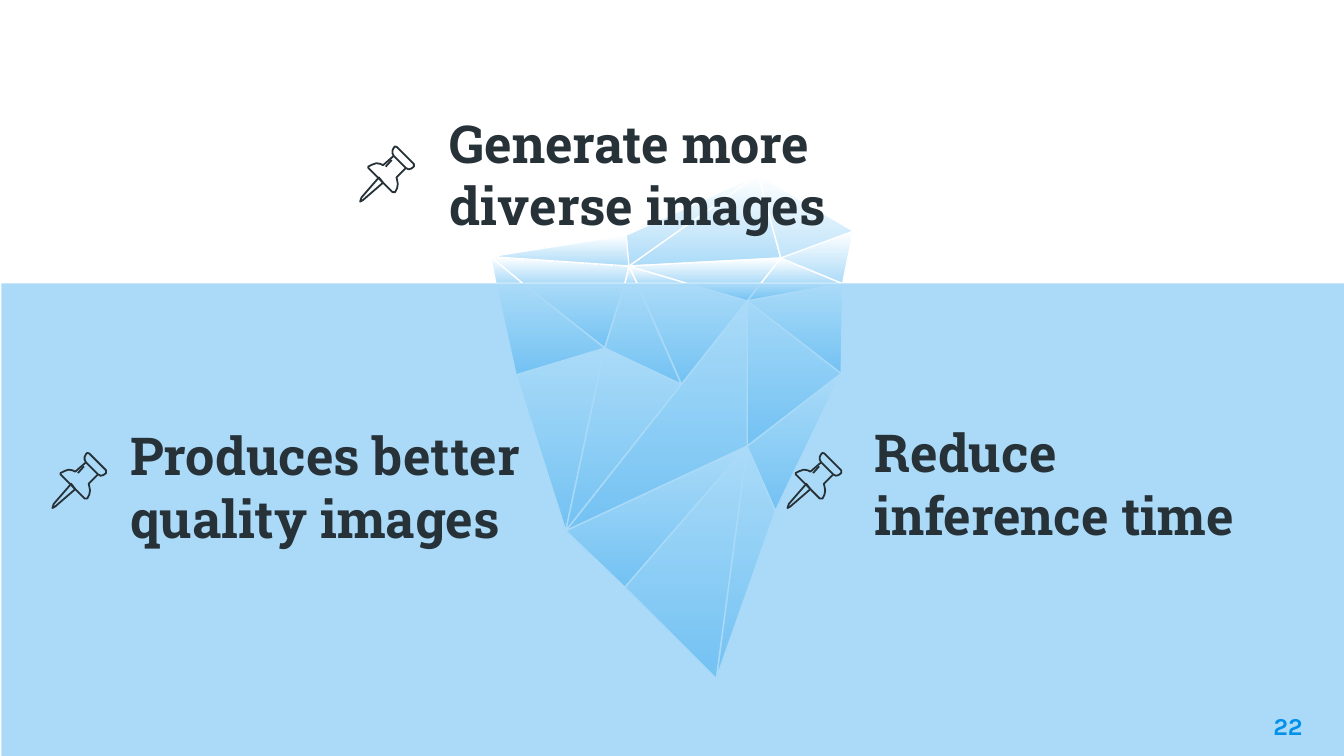
from dataclasses import dataclass, field

from lxml import etree
from pptx import Presentation
from pptx import util as u
from pptx.dml.color import RGBColor
from pptx.enum import shapes, text
from pptx.oxml import ns

COLUMNS, ROWS = 100, 56.25
COLORS = {"white": "FFFFFF", "ice": "ACDBF8", "water": "0091EA", "ink": "263238"}

VERTICES = {
    "A": (36.5, 19.1), "B": (38.9, 21.1), "C": (36.9, 21.1), "D": (46.6, 17.5),
    "E": (46.8, 19.8), "F": (46.5, 21.1), "G": (47.4, 21.1), "H": (51.2, 21.1),
    "I": (56.4, 13), "J": (58.1, 19.2), "K": (56.6, 21.1), "L": (62.7, 21.1),
    "M": (63.5, 17.2), "N": (45, 25.9), "O": (38.4, 27.9), "P": (42.1, 39.5),
    "Q": (50.7, 28.6), "R": (55.6, 22.4), "S": (62.6, 27.8), "T": (55.6, 33.2),
    "U": (57.7, 38), "V": (53.3, 50.5), "W": (46.5, 43.7),
}
FACETS = (
    "LAB IEJ IMLJ ABC EFBA IEAD JLK GEH ABC DEA MJL GEF LSTR NPO FNB TUV LRK "
    "QGHR QNP RPT BNOC LRS NQGF PTW WVT SUT EJKH RKH"
).split()

PIN_NEEDLE = [(1.4, 2.3), (0.1, 3.8), (0, 4.1), (0.2, 4), (1.7, 2.7)]
PIN_HEAD = [
    (2.5, 0.7), (3.4, 1.6), (3.6, 1.7), (3.8, 1.65), (4, 1.5), (4, 1.3),
    (2.75, 0.05), (2.6, 0), (2.5, 0.1), (2.4, 0.3), (2.4, 0.5),
]
PIN_BODY = [
    (2.5, 0.7), (1.7, 1.4), (1.5, 1.3), (1.2, 1.25), (0.9, 1.35), (0.6, 1.5),
    (0.6, 1.6), (2.4, 3.4), (2.6, 3.4), (2.75, 3.1), (2.8, 2.8), (2.75, 2.5),
    (2.7, 2.3), (3.4, 1.6),
]
PIN_SLIT = [(1.9, 1.5), (2.35, 1)]
PIN_PARTS = [(PIN_NEEDLE, True), (PIN_HEAD, True), (PIN_BODY, False), (PIN_SLIT, False)]
PIN_PLACES = [(26.8, 10.9), (3.9, 33.7), (58.6, 33.7)]


def color(name):
    return RGBColor.from_string(COLORS[name])


def write(frame, words, *, font="Roboto Slab", size=28, ink="ink",
          align=text.PP_ALIGN.LEFT):
    paragraph = frame.paragraphs[0]
    paragraph.alignment = align
    paragraph.line_spacing = 1.0
    run = paragraph.add_run()
    run.text = words
    run.font.name = font
    run.font.size = u.Pt(size)
    run.font.bold = True
    run.font.color.rgb = color(ink)


@dataclass
class Canvas:
    presentation: object
    slide: object = field(init=False)

    def __post_init__(self):
        self.slide = self.presentation.slides.add_slide(self.presentation.slide_layouts[6])

    def x(self, columns):
        return round(self.presentation.slide_width * columns / COLUMNS)

    def y(self, rows):
        return round(self.presentation.slide_height * rows / ROWS)

    def box(self, left, top, width, height):
        return self.x(left), self.y(top), self.x(width), self.y(height)

    def outline(self, points, ink, weight, closed=True):
        corners = [(self.x(column), self.y(row)) for column, row in points]
        builder = self.slide.shapes.build_freeform(*corners[0])
        builder.add_line_segments(corners[1:], close=closed)
        shape = builder.convert_to_shape()
        shape.shadow.inherit = False
        shape.fill.background()
        shape.line.color.rgb = color(ink)
        shape.line.width = u.Pt(weight)
        return shape

    def facet(self, corners):
        shape = self.outline([VERTICES[corner] for corner in corners], "white", 0.75)
        shape.fill.gradient()
        shape.fill.gradient_angle = 270
        for stop, name, position in zip(shape.fill.gradient_stops, ("white", "ice"), (0, 1)):
            stop.color.rgb = color(name)
            stop.position = position
        return shape

    def iceberg(self):
        self.slide.shapes.add_group_shape([self.facet(corners) for corners in FACETS])

    def pin(self, left, top):
        parts = [
            self.outline([(left + column, top + row) for column, row in points],
                         "ink", 0.96, closed)
            for points, closed in PIN_PARTS
        ]
        self.slide.shapes.add_group_shape(parts)

    def water(self, *place, opacity=33):
        shape = self.slide.shapes.add_shape(shapes.MSO_SHAPE.RECTANGLE, *self.box(*place))
        shape.shadow.inherit = False
        shape.line.fill.background()
        shape.fill.solid()
        shape.fill.fore_color.rgb = color("water")
        tint = shape.fill._xPr.find(".//" + ns.qn("a:srgbClr"))
        etree.SubElement(tint, ns.qn("a:alpha")).set("val", str(opacity * 1000))

    def label(self, words, *place, inset=0.05, anchor=text.MSO_ANCHOR.TOP, **style):
        frame = self.slide.shapes.add_textbox(*self.box(*place)).text_frame
        frame.word_wrap = True
        frame.vertical_anchor = anchor
        frame.margin_left = frame.margin_right = u.Inches(0.1)
        frame.margin_top = frame.margin_bottom = u.Inches(inset)
        write(frame, words, **style)


def main():
    presentation = Presentation()
    presentation.slide_width = u.Pt(720)
    presentation.slide_height = u.Pt(405)
    canvas = Canvas(presentation)
    canvas.iceberg()
    canvas.label("Generate more diverse images", 32.5, 3.6, 33, 15,
                 inset=0.1, anchor=text.MSO_ANCHOR.BOTTOM)
    canvas.water(0.1, 21.1, 99.9, 35.15)
    canvas.label("Produces better quality images", 8.7, 31, 33.4, 25.25)
    canvas.label("Reduce inference time", 64.1, 30.8, 30.1, 25.45)
    canvas.label("22", 91.9, 51.9, 6, 4.3, inset=0.1, font="Karla", size=13,
                 ink="water", align=text.PP_ALIGN.RIGHT)
    for place in PIN_PLACES:
        canvas.pin(*place)
    presentation.save("out.pptx")


if __name__ == "__main__":
    main()
